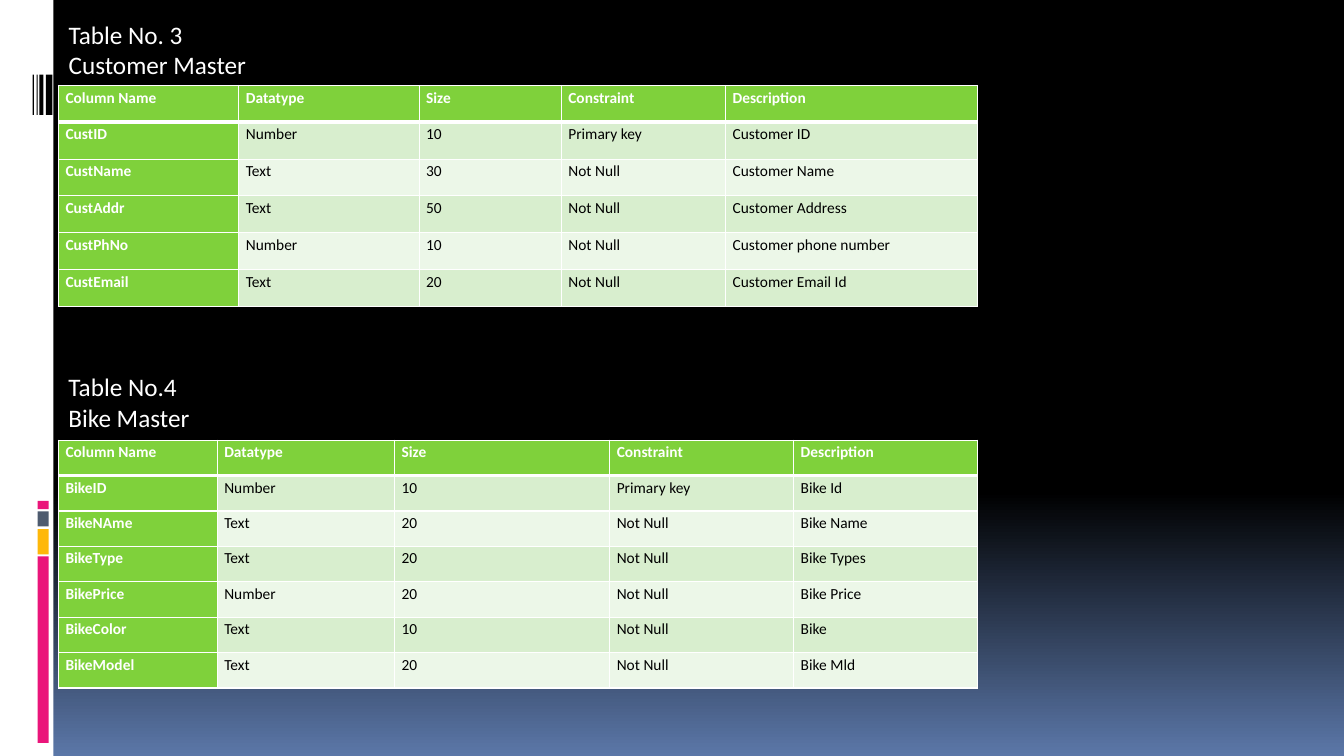
from dataclasses import dataclass

from lxml import etree
from pptx import Presentation
from pptx.dml.color import RGBColor
from pptx.enum.shapes import MSO_SHAPE
from pptx.enum.text import MSO_ANCHOR, MSO_AUTO_SIZE, PP_ALIGN
from pptx.oxml.ns import qn
from pptx.slide import Slide
from pptx.table import _Cell
from pptx.text.text import TextFrame
from pptx.util import Pt

RECT = MSO_SHAPE.RECTANGLE
TOP = MSO_ANCHOR.TOP
LEFT = PP_ALIGN.LEFT
NO_AUTOFIT = MSO_AUTO_SIZE.NONE

FONT = "Calibri"
COLORS = {
    "white": "FFFFFF",
    "black": "000000",
    "blue": "5B77A8",
    "pink": "EA157A",
    "amber": "FEB80A",
    "slate": "4E5B6F",
    "green": "7FD13B",
    "band_dark": "D8EECE",
    "band_light": "ECF7E8",
}
SLIDE_W, SLIDE_H = 960, 540
CONTENT_LEFT = 41.8
HEADING_H = 51
HEADER = ("Column Name", "Datatype", "Size", "Constraint", "Description")


@dataclass(frozen=True)
class Bar:
    left: float
    top: float
    width: float
    height: float
    color: str


@dataclass(frozen=True)
class DataTable:
    heading: tuple[str, str]
    heading_top: float
    heading_width: float
    top: float
    row_height: float
    col_widths: tuple[float, ...]
    rows: tuple[tuple[str, ...], ...]


BARS = [
    Bar(0, 0, 38.2, SLIDE_H, "white"),
    *(Bar(26.9, top, 7.9, height, color) for top, height, color in (
        (397.4, 133.2, "pink"),
        (378, 18, "amber"),
        (365.2, 10.8, "slate"),
        (357.8, 5.8, "pink"),
    )),
    *(Bar(left, 53.3, width, 28.8, "black") for left, width in (
        (32.7, 4.7), (28.2, 2.9), (26.1, 0.9), (23.3, 0.9),
    )),
]

CUSTOMER = DataTable(
    ("Table No. 3", "Customer Master"), 10, 204, 61.1, 26.3,
    (128.8, 128.8, 101.6, 117.4, 180),
    (
        ("CustID", "Number", "10", "Primary key", "Customer ID"),
        ("CustName", "Text", "30", "Not Null", "Customer Name"),
        ("CustAddr", "Text", "50", "Not Null", "Customer Address"),
        ("CustPhNo", "Number", "10", "Not Null", "Customer phone number"),
        ("CustEmail", "Text", "20", "Not Null", "Customer Email Id"),
    ),
)
BIKE = DataTable(
    ("Table No.4", "Bike Master"), 262, 193, 314.4, 25.3,
    (113.4, 126.7, 153.7, 131.4, 131.4),
    (
        ("BikeID", "Number", "10", "Primary key", "Bike Id"),
        ("BikeNAme", "Text", "20", "Not Null", "Bike Name"),
        ("BikeType", "Text", "20", "Not Null", "Bike Types"),
        ("BikePrice", "Number", "20", "Not Null", "Bike Price"),
        ("BikeColor", "Text", "10", "Not Null", "Bike"),
        ("BikeModel", "Text", "20", "Not Null", "Bike Mld"),
    ),
)


def rgb(name: str) -> RGBColor:
    return RGBColor.from_string(COLORS[name])


def write(tf: TextFrame, *lines: str, size: float, color: str = "white",
          bold: bool = False, spacing: float = 1.0) -> None:
    """Write each line as one left-aligned paragraph."""
    for i, line in enumerate(lines):
        p = tf.add_paragraph() if i else tf.paragraphs[0]
        p.alignment = LEFT
        p.line_spacing = spacing
        r = p.add_run()
        r.text = line
        r.font.name = FONT
        r.font.size = Pt(size)
        r.font.bold = bold
        r.font.color.rgb = rgb(color)


def paint_background(s: Slide) -> None:
    fill = s.background.fill
    fill.gradient()
    fill.gradient_angle = 270
    for stop, (position, color) in zip(fill.gradient_stops, ((0.65, "black"), (1, "blue"))):
        stop.position = position
        stop.color.rgb = rgb(color)


def add_bar(s: Slide, bar: Bar) -> None:
    sp = s.shapes.add_shape(RECT, Pt(bar.left), Pt(bar.top), Pt(bar.width), Pt(bar.height))
    sp.shadow.inherit = False
    sp.fill.solid()
    sp.fill.fore_color.rgb = rgb(bar.color)
    sp.line.fill.background()


def add_heading(s: Slide, data: DataTable, is_title: bool) -> None:
    box = (Pt(CONTENT_LEFT), Pt(data.heading_top), Pt(data.heading_width), Pt(HEADING_H))
    if is_title:
        sp = s.shapes.title
        sp.left, sp.top, sp.width, sp.height = box
    else:
        sp = s.shapes.add_textbox(*box)
    tf = sp.text_frame
    tf.word_wrap = True
    tf.auto_size = NO_AUTOFIT
    tf.vertical_anchor = TOP
    write(tf, *data.heading, size=18)


def set_borders(cell: _Cell, row: int) -> None:
    """Draw white edges, with a thick rule between header and body."""
    tc_pr = cell._tc.get_or_add_tcPr()
    widths = {"lnL": 1, "lnR": 1, "lnT": 3 if row == 1 else 1, "lnB": 3 if row == 0 else 1}
    for tag, width in widths.items():
        ln = etree.SubElement(tc_pr, qn(f"a:{tag}"), w=str(Pt(width)))
        fill = etree.SubElement(ln, qn("a:solidFill"))
        etree.SubElement(fill, qn("a:srgbClr"), val=COLORS["white"])


def add_data_table(s: Slide, data: DataTable) -> None:
    rows = (HEADER, *data.rows)
    table = s.shapes.add_table(
        len(rows), len(HEADER), Pt(CONTENT_LEFT), Pt(data.top),
        Pt(sum(data.col_widths)), Pt(data.row_height * len(rows)),
    ).table
    for column, width in zip(table.columns, data.col_widths):
        column.width = Pt(width)
    for i, values in enumerate(rows):
        table.rows[i].height = Pt(data.row_height)
        for j, value in enumerate(values):
            cell = table.cell(i, j)
            label = i == 0 or j == 0
            band = "band_dark" if i % 2 else "band_light"
            cell.margin_left = cell.margin_right = Pt(5)
            cell.margin_top = cell.margin_bottom = Pt(0)
            set_borders(cell, i)
            cell.fill.solid()
            cell.fill.fore_color.rgb = rgb("green" if label else band)
            write(cell.text_frame, value, size=11, spacing=1.15, bold=label,
                  color="white" if label else "black")


def main() -> None:
    prs = Presentation()
    prs.slide_width, prs.slide_height = Pt(SLIDE_W), Pt(SLIDE_H)
    s = prs.slides.add_slide(prs.slide_layouts.get_by_name("Title Only"))
    paint_background(s)
    for bar in BARS:
        add_bar(s, bar)
    for data in (CUSTOMER, BIKE):
        add_heading(s, data, is_title=data is CUSTOMER)
        add_data_table(s, data)
    prs.save("out.pptx")


if __name__ == "__main__":
    main()
